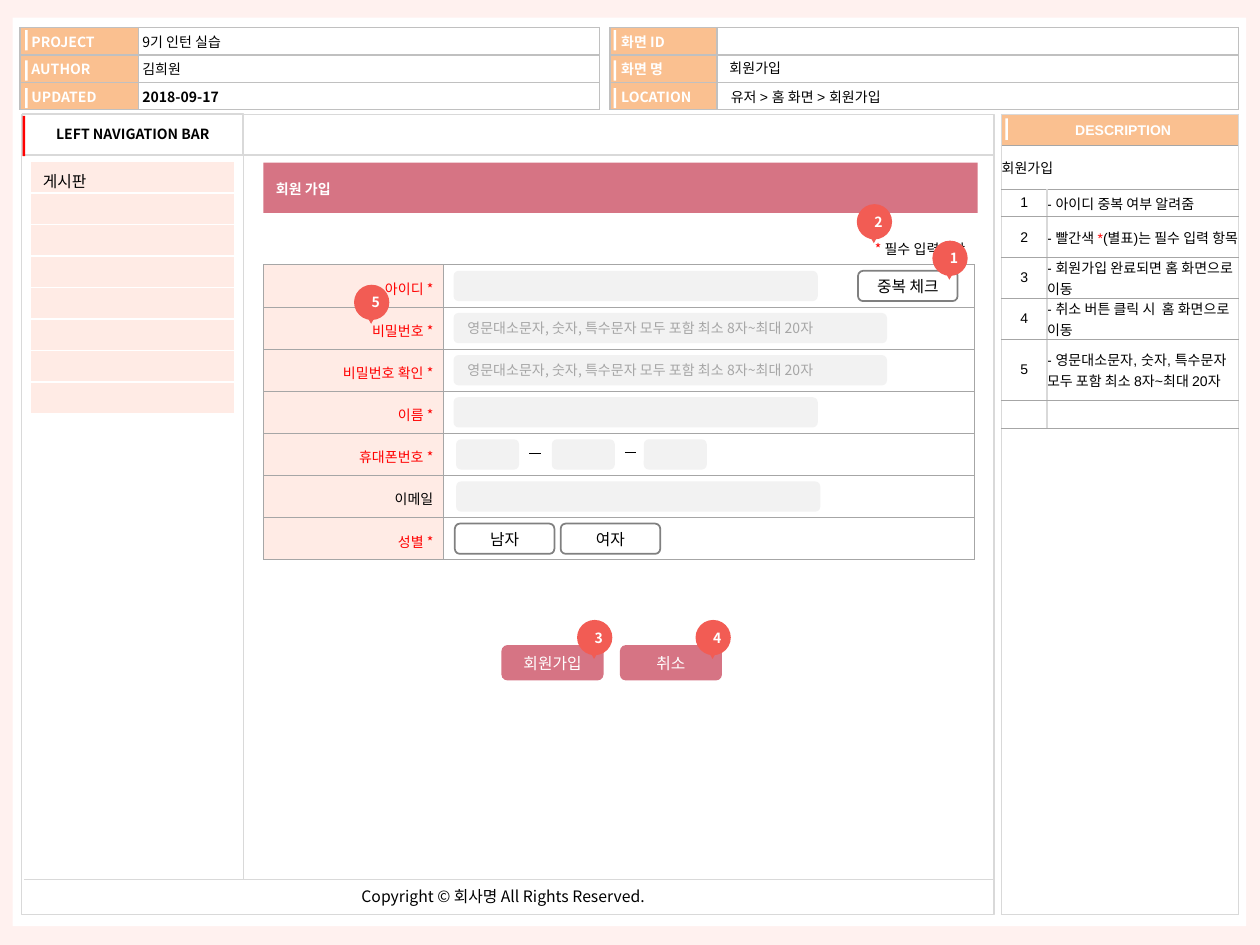
"""Builds the sign-up screen specification slide."""
from lxml import etree
from pptx import Presentation
from pptx.dml.color import RGBColor
from pptx.enum.shapes import MSO_CONNECTOR as Link, MSO_SHAPE as Shape
from pptx.enum.text import MSO_ANCHOR as Anchor, MSO_AUTO_SIZE as Fit, PP_ALIGN as Align
from pptx.oxml.ns import qn
from pptx.util import Inches, Pt

rgb = RGBColor.from_string
KOREAN, LATIN = "Noto Sans CJK KR", "Arial"
WHITE, BLACK, RED, ROSE, CORAL = "FFFFFF", "000000", "FF0000", "D67484", "F25C54"
ORANGE, BLUSH, FIELD, PALE = "FAC090", "FFEBE5", "F2F2F2", "D9D9D9"
SILVER, GREY, DARK = "C0C0C0", "A6A6A6", "808080"


def write(frame, text, size=8, font=KOREAN, color=BLACK, bold=False, align=Align.LEFT, star=None):
    paragraph = frame.paragraphs[0]
    paragraph.alignment = align
    pieces = text.partition("*") if star else (text,)
    for piece in filter(None, pieces):
        run = paragraph.add_run()
        run.text = piece
        run.font.size, run.font.name, run.font.bold = Pt(size), font, bold
        run.font.color.rgb = rgb(star if star and piece == "*" else color)
        etree.SubElement(run.font._element, qn("a:ea"), typeface=KOREAN)
    if not text:
        etree.SubElement(paragraph._p, qn("a:endParaRPr"), sz=str(size * 100))


def box(parent, kind, left, top, width, height, fill=None, line=None, weight=1, text="", **style):
    shape = parent.add_shape(kind, Inches(left), Inches(top), Inches(width), Inches(height))
    shape.shadow.inherit = False
    if fill:
        shape.fill.solid()
        shape.fill.fore_color.rgb = rgb(fill)
    else:
        shape.fill.background()
    if line:
        shape.line.color.rgb = rgb(line)
        shape.line.width = Pt(weight)
    else:
        shape.line.fill.background()
    if text:
        shape.text_frame.vertical_anchor = Anchor.MIDDLE
        write(shape.text_frame, text, **{"align": Align.CENTER, **style})
    return shape


deck = Presentation()
deck.slide_width, deck.slide_height = Inches(10), Inches(7.5)
slide = deck.slides.add_slide(deck.slide_layouts[5])
slide.background.fill.solid()
slide.background.fill.fore_color.rgb = rgb("FFF1EF")
shapes = slide.shapes
box(shapes, Shape.RECTANGLE, 0.1, 0.14, 9.79, 7.21, WHITE)

FORM_TOP, FORM_ROW = 2.1, 2.34 / 7
INFO_ROWS = [0.65 / 3] * 3
label = dict(fill=ORANGE, color=WHITE, bold=True, inset=0.09)
value = dict(fill=WHITE, inset=0.03)
rule = "영문대소문자, 숫자, 특수문자 모두 포함 최소 8자~최대 20자"
notes = ["아이디 중복 여부 알려줌", "빨간색 *(별표)는 필수 입력 항목",
         "회원가입 완료되면 홈 화면으로 이동", "취소 버튼 클릭 시  홈 화면으로 이동", rule]
fields = ["아이디 *", "비밀번호 *", "비밀번호 확인 *", "이름 *", "휴대폰번호 *", "이메일", "성별 *"]
exceptions = {"2018-09-17": dict(bold=True), "이메일": dict(color=BLACK),
              "회원가입": dict(align=Align.LEFT)}

tables = [
    (0.16, 0.22, [0.94, 3.66], INFO_ROWS, 0, (SILVER, 1), (SILVER, 1), [label, value],
     [["PROJECT", "9기 인턴 실습"], ["AUTHOR", "김희원"], ["UPDATED", "2018-09-17"]]),
    (4.84, 0.22, [0.85, 4.14], INFO_ROWS, 0, (SILVER, 1), (SILVER, 1), [label, value],
     [["화면 ID", ""], ["화면 명", ""], ["LOCATION", ""]]),
    (7.95, 0.91, [1.88], [0.25, 6.1], 0, (PALE, 1), (PALE, 1),
     [dict(fill=WHITE, color=WHITE, bold=True, font=LATIN, align=Align.CENTER, inset=0.05)],
     [["DESCRIPTION"], [""]]),
    (7.95, 1.15, [0.36, 1.52], [0.35, 0.22, 0.22, 0.3, 0.3, 0.22, 0.22], 0, (PALE, 1), (GREY, 0.5),
     [dict(fill=WHITE, font=LATIN, align=Align.CENTER), dict(fill=WHITE, font=LATIN, star=RED)],
     [["회원가입", ""], *[[str(n), f"- {note}"] for n, note in enumerate(notes, 1)], ["", ""]]),
    (0.24, 1.28, [1.62], [0.25] * 8, 0.05, (WHITE, 1), (WHITE, 1),
     [dict(fill=BLUSH, size=9, inset=0.1)], [["게시판"]] + [[""]] * 7),
    (2.09, FORM_TOP, [1.43, 4.21], [FORM_ROW] * 7, 0.04, (GREY, 0.25), (GREY, 0.25),
     [dict(fill=BLUSH, color=RED, align=Align.RIGHT, inset=0.08), {}],
     [[field, ""] for field in fields]),
]
for left, top, widths, heights, pad, upright, level, styles, rows in tables:
    table = shapes.add_table(len(heights), len(widths), Inches(left), Inches(top),
                             Inches(sum(widths)), Inches(sum(heights))).table
    table.first_row = table.horz_banding = False
    for column, width in zip(table.columns, widths):
        column.width = Inches(width)
    for row, height in zip(table.rows, heights):
        row.height = Inches(height)
    for r, texts in enumerate(rows):
        for c, text in enumerate(texts):
            style = {**styles[c], **exceptions.get(text, {})}
            fill, inset = style.pop("fill", None), style.pop("inset", 0)
            cell = table.cell(r, c)
            cell.vertical_anchor = Anchor.MIDDLE
            cell.margin_left = Inches(inset)
            cell.margin_right = Inches(inset if style.get("align") == Align.RIGHT else 0)
            cell.margin_top, cell.margin_bottom = Inches(pad), 0
            for side, (color, weight) in zip("LRTB", (upright, upright, level, level)):
                edge = etree.SubElement(cell._tc.get_or_add_tcPr(), qn(f"a:ln{side}"), w=str(Pt(weight)))
                solid = etree.SubElement(edge, qn("a:solidFill"))
                etree.SubElement(solid, qn("a:srgbClr"), val=color)
            if fill:
                cell.fill.solid()
                cell.fill.fore_color.rgb = rgb(ORANGE if text == "DESCRIPTION" else fill)
            else:
                cell.fill.background()
            write(cell.text_frame, text, **style)
    if rows[0][0] == "회원가입":
        table.cell(0, 0).merge(table.cell(0, 1))

ticks = [(x, y, 0.16) for x in (0.2, 4.87) for y in (0.24, 0.48, 0.7)] + [(7.98, 0.94, 0.17)]
for left, top, height in ticks:
    box(shapes, Shape.RECTANGLE, left, top, 0.02, height, WHITE)

box(shapes, Shape.RECTANGLE, 0.17, 0.91, 7.72, 6.35, line=PALE, weight=0.75)
box(shapes, Shape.RECTANGLE, 0.18, 0.9, 1.75, 0.33, line=PALE, weight=0.75,
    text="LEFT NAVIGATION BAR", bold=True)
box(shapes, Shape.RECTANGLE, 0.18, 0.92, 0.02, 0.32, RED)

band = box(shapes, Shape.RECTANGLE, 2.09, 1.29, 5.67, 0.4, ROSE)
heading = shapes.title
band._element.addnext(heading._element)
heading.left, heading.top, heading.width, heading.height = map(Inches, (2.09, 1.38, 5.14, 0.24))
heading.text_frame.auto_size = Fit.NONE
heading.text_frame.vertical_anchor = Anchor.TOP
write(heading.text_frame, "회원 가입", color=WHITE, bold=True)

captions = [
    (5.72, 0.66, 2.9, 0.2, 0.08, 0.04, True, "유저 > 홈 화면 > 회원가입", dict(font=LATIN)),
    (5.71, 0.43, 2.9, 0.2, 0.08, 0.04, True, "회원가입", dict(font=LATIN)),
    (2.77, 6.99, 2.52, 0.25, 0.1, 0.05, False, "Copyright ©\u00a0회사명 All Rights Reserved.", dict(size=9)),
    (6.34, 1.86, 1.42, 0.24, 0.1, 0.05, True, "* 필수 입력사항", dict(align=Align.RIGHT, star=RED)),
]
for left, top, width, height, side, pad, wrap, text, style in captions:
    frame = shapes.add_textbox(Inches(left), Inches(top), Inches(width), Inches(height)).text_frame
    frame.word_wrap = wrap
    frame.margin_left = frame.margin_right = Inches(side)
    frame.margin_top = frame.margin_bottom = Inches(pad)
    write(frame, text, **style)

inputs = [(0, 3.6, 2.89, ""), (1, 3.6, 3.44, rule), (2, 3.6, 3.44, rule), (3, 3.6, 2.89, ""),
          (4, 3.62, 0.5, ""), (4, 4.38, 0.5, ""), (4, 5.11, 0.5, ""), (5, 3.62, 2.89, "")]
for row, left, width, hint in inputs:
    box(shapes, Shape.ROUNDED_RECTANGLE, left, FORM_TOP + 0.05 + row * FORM_ROW, width, 0.24, FIELD,
        text=hint, color=GREY, align=Align.LEFT)
for row, left, text in [(0, 6.81, "중복 체크"), (6, 3.61, "남자"), (6, 4.45, "여자")]:
    box(shapes, Shape.ROUNDED_RECTANGLE, left, FORM_TOP + 0.05 + row * FORM_ROW, 0.79, 0.24,
        WHITE, DARK, text=text, size=9)
for left, text in [(3.98, "회원가입"), (4.92, "취소")]:
    box(shapes, Shape.ROUNDED_RECTANGLE, left, 5.12, 0.81, 0.28, ROSE, text=text, size=9, color=WHITE)

lines = [(0.19, 6.98, 7.89, 6.98, PALE, 1), (1.93, 1.23, 7.89, 1.23, PALE, 1),
         (1.93, 0.91, 1.93, 6.98, PALE, 0.75),
         (4.2, 3.6, 4.29, 3.6, BLACK, 0.75), (4.96, 3.59, 5.05, 3.59, BLACK, 0.75)]
for *ends, color, weight in lines:
    line = shapes.add_connector(Link.STRAIGHT, *map(Inches, ends))
    line.line.color.rgb = rgb(color)
    line.line.width = Pt(weight)
    etree.SubElement(line._element.spPr, qn("a:effectLst"))

pins = [(7.4, 1.91), (6.8, 1.62), (4.58, 4.92), (5.52, 4.92), (2.81, 2.26)]
for number, (left, top) in enumerate(pins, 1):
    pin = shapes.add_group_shape().shapes
    box(pin, Shape.OVAL, left, top, 0.28, 0.28, CORAL, text=str(number), color=WHITE, bold=True)
    box(pin, Shape.ISOSCELES_TRIANGLE, left + 0.09, top + 0.23, 0.09, 0.08, CORAL).rotation = 180

deck.save("out.pptx")
